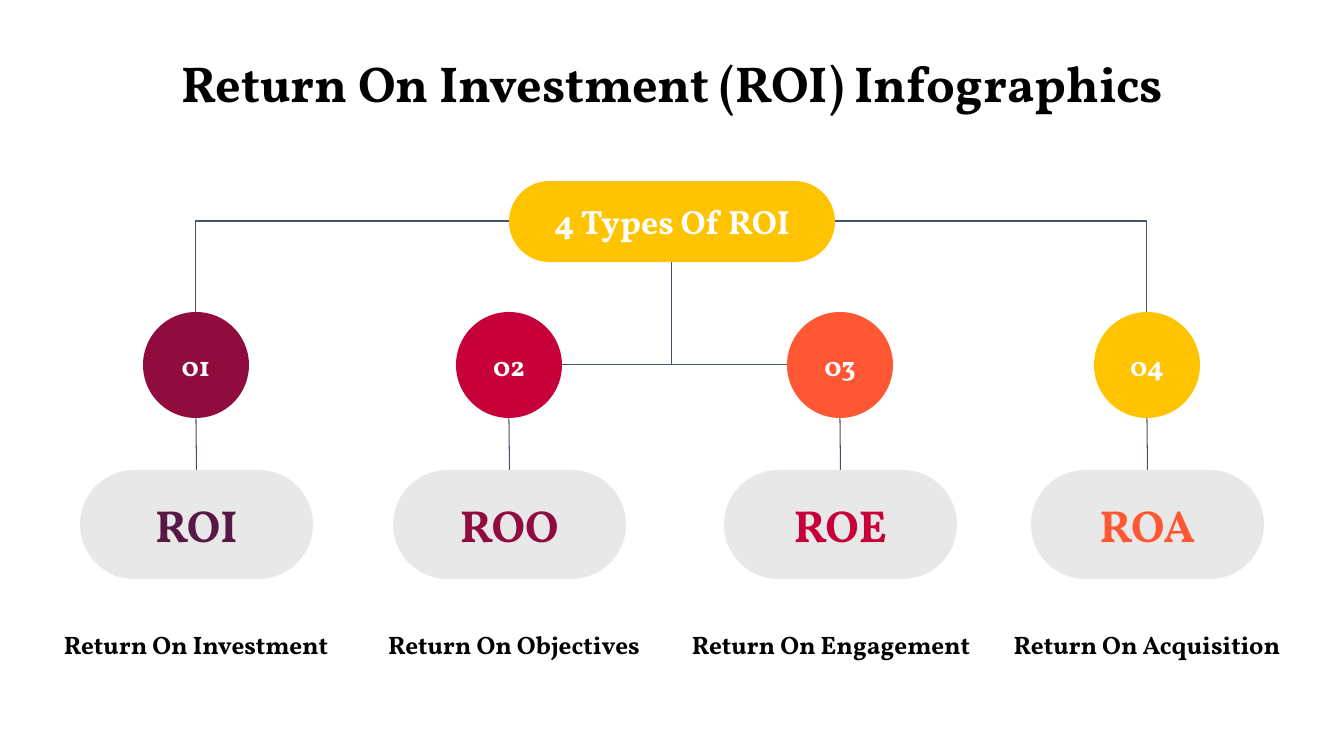
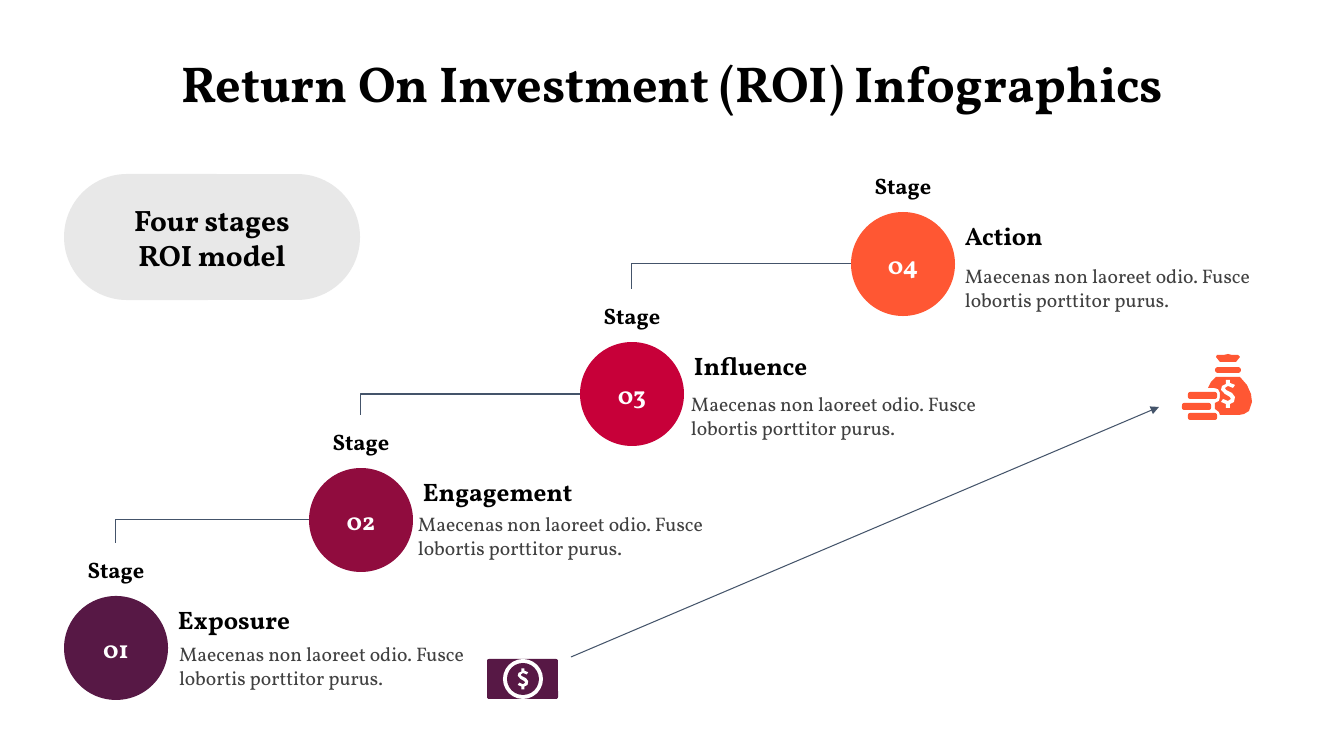
from dataclasses import dataclass

from lxml import etree
from pptx import Presentation
from pptx import util as u
from pptx.dml.color import RGBColor
from pptx.enum import shapes, text
from pptx.oxml.ns import qn

EMU_PER_PX = 914400 / 100.8
WIDTH, HEIGHT = 1344, 756


def px(length):
    return u.Emu(round(length * EMU_PER_PX))


@dataclass(frozen=True)
class Theme:
    font: str = "Vollkorn"
    black: str = "000000"
    white: str = "FFFFFF"
    body: str = "404040"
    line: str = "44546A"
    pill: str = "D9D9D9"
    plum: str = "571845"
    wine: str = "900C3E"
    crimson: str = "C70039"
    orange: str = "FF5733"
    yellow: str = "FFC300"
    pill_opacity: int = 60
    line_width: float = 0.75
    title_size: int = 36
    code_size: int = 32
    root_size: int = 24
    model_size: int = 21
    number_size: int = 20
    heading_size: int = 18
    stage_size: int = 16
    body_size: int = 14


THEME = Theme()
TITLE = "Return On Investment (ROI) Infographics"
CENTER, LEFT = text.PP_ALIGN.CENTER, text.PP_ALIGN.LEFT
MIDDLE, TOP = text.MSO_ANCHOR.MIDDLE, text.MSO_ANCHOR.TOP
DOLLAR = [(-2, -14), (2, -14), (2, -11), (7, -9), (5, -6), (0, -8), (-3, -6), (-2, -4),
          (4, -1), (7, 3), (6, 8), (2, 10), (2, 14), (-2, 14), (-2, 10), (-7, 8),
          (-5, 5), (0, 7), (3, 5), (2, 3), (-3, 0), (-7, -4), (-6, -8), (-2, -10)]
BAG = [(1216, 377), (1240, 377), (1247, 385), (1251, 394), (1252, 402), (1249, 411),
       (1244, 414), (1239, 415), (1220, 415), (1219, 412), (1215, 409), (1215, 403),
       (1219, 401), (1220, 397), (1220, 393), (1218, 389), (1214, 388), (1208, 388),
       (1211, 382)]
BAG_TOP = [(1217, 355), (1224, 355), (1228, 354), (1232, 355), (1238, 355),
           (1240, 357), (1236, 362), (1220, 362), (1216, 357)]


class Slides:
    def __init__(self, theme):
        self.theme = theme
        self.deck = Presentation()
        self.deck.slide_width, self.deck.slide_height = px(WIDTH), px(HEIGHT)
        self.page = None

    def new_page(self, title):
        self.page = self.deck.slides.add_slide(self.deck.slide_layouts[5])
        box = self.page.shapes.title
        box.left, box.top, box.width, box.height = px(0), px(47), px(WIDTH), px(72)
        self.put_text(box, title, self.theme.title_size, anchor=TOP)

    def put_text(self, box, words, size, color=None, bold=True, align=CENTER,
                 anchor=MIDDLE, inset=10):
        frame = box.text_frame
        frame.word_wrap = True
        frame.auto_size = text.MSO_AUTO_SIZE.NONE
        frame.vertical_anchor = anchor
        frame.margin_left = frame.margin_right = px(inset)
        frame.margin_top = frame.margin_bottom = px(5)
        para = frame.paragraphs[0]
        para.alignment = align
        span = para.add_run()
        span.text = words
        span.font.name = self.theme.font
        span.font.size = u.Pt(size)
        span.font.bold = bold
        span.font.color.rgb = RGBColor.from_string(color or self.theme.black)

    def label(self, left, top, width, height, words, size, **style):
        box = self.page.shapes.add_textbox(px(left), px(top), px(width), px(height))
        self.put_text(box, words, size, **style)

    def paint(self, shape, color):
        shape.shadow.inherit = False
        shape.fill.solid()
        shape.fill.fore_color.rgb = RGBColor.from_string(color)
        shape.line.fill.background()
        return shape

    def circle(self, left, top, size, color):
        kind = shapes.MSO_SHAPE.OVAL
        return self.paint(
            self.page.shapes.add_shape(kind, px(left), px(top), px(size), px(size)), color)

    def bar(self, left, top, width, height, color, rounding=0.5):
        kind = shapes.MSO_SHAPE.ROUNDED_RECTANGLE
        shape = self.page.shapes.add_shape(kind, px(left), px(top), px(width), px(height))
        shape.adjustments[0] = rounding
        return self.paint(shape, color)

    def gray_pill(self, left, top, width, height):
        shape = self.bar(left, top, width, height, self.theme.pill)
        color = shape._element.spPr.find(qn("a:solidFill")).find(qn("a:srgbClr"))
        etree.SubElement(color, qn("a:alpha"), val=str(self.theme.pill_opacity * 1000))
        return shape

    def outline(self, points, color, origin=(0, 0), size=1):
        builder = self.page.shapes.build_freeform(*points[0], scale=EMU_PER_PX * size)
        builder.add_line_segments(points[1:], close=True)
        return self.paint(builder.convert_to_shape(px(origin[0]), px(origin[1])), color)

    def line(self, start, end, kind=shapes.MSO_CONNECTOR.STRAIGHT):
        link = self.page.shapes.add_connector(
            kind, px(start[0]), px(start[1]), px(end[0]), px(end[1]))
        link.line.color.rgb = RGBColor.from_string(self.theme.line)
        link.line.width = u.Pt(self.theme.line_width)
        etree.SubElement(link._element.spPr, qn("a:effectLst"))
        return link

    def corner(self, start, end):
        """Run sideways from start, then turn once towards end."""
        link = self.line(start, end, shapes.MSO_CONNECTOR.ELBOW)
        link._element.spPr.find(qn("a:prstGeom")).set("prst", "bentConnector2")

    def arrow(self, start, end):
        link = self.line(start, end)
        stroke = link._element.spPr.find(qn("a:ln"))
        etree.SubElement(stroke, qn("a:tailEnd"), type="triangle")


def types_page(slides):
    theme = slides.theme
    slides.new_page(TITLE)
    middle, root_left, root_top, root_width, root_height = WIDTH // 2, 509, 181, 326, 81
    circle_size, circle_top, pill_top = 106, 312, 470
    radius = circle_size // 2
    circle_middle, circle_bottom = circle_top + radius, circle_top + circle_size
    columns = [
        (196, 196, "ROI", "Return On Investment", theme.wine, theme.plum),
        (509, 514, "ROO", "Return On Objectives", theme.crimson, theme.wine),
        (840, 831, "ROE", "Return On Engagement", theme.orange, theme.crimson),
        (1147, 1147, "ROA", "Return On Acquisition", theme.yellow, theme.orange),
    ]
    for number, column in enumerate(columns, 1):
        center, label_center, code, name, circle_color, code_color = column
        pill = slides.gray_pill(center - 116, pill_top, 233, 109)
        slides.put_text(pill, code, theme.code_size, code_color)
        slides.label(label_center - 163, 619, 326, 50, name, theme.heading_size)
        circle = slides.circle(center - radius, circle_top, circle_size, circle_color)
        slides.put_text(circle, f"{number:02}", theme.number_size, theme.white)
        stem = slides.line((center, circle_bottom), (center, pill_top))
        stem.end_connect(pill, 0)

    root = slides.bar(root_left, root_top, root_width, root_height, theme.yellow)
    slides.put_text(root, "4 Types Of ROI", theme.root_size, theme.white)
    first, second, third, fourth = (column[0] for column in columns)
    root_middle, root_bottom = root_top + root_height // 2, root_top + root_height
    slides.corner((root_left, root_middle), (first, circle_top))
    slides.corner((second + radius, circle_middle), (middle, root_bottom))
    slides.corner((third - radius, circle_middle), (middle, root_bottom))
    slides.corner((root_left + root_width, root_middle), (fourth, circle_top))


def money_bag(slides):
    color = slides.theme.orange
    slides.bar(1215, 367, 26, 6, color)
    for left, top in ((1188, 392), (1182, 403), (1188, 413)):
        slides.bar(left, top, 29, 7, color, 0.3)
    slides.outline(BAG_TOP, color)
    slides.outline(BAG, color)
    slides.outline(DOLLAR, slides.theme.white, (1228, 394))


def banknote(slides):
    theme = slides.theme
    slides.bar(487, 659, 71, 40, theme.plum, 0.05)
    for size, color in ((40, theme.white), (32, theme.plum)):
        slides.circle(523 - size // 2, 679 - size // 2, size, color)
    slides.outline(DOLLAR, theme.white, (523, 679), 0.75)


def stages_page(slides):
    theme = slides.theme
    slides.new_page(TITLE)
    model = slides.gray_pill(64, 174, 296, 126)
    slides.put_text(model, "Four stages ROI model", theme.model_size, inset=36)
    size, stage_height = 104, 53
    stages = [
        (64, 596, "Exposure", theme.plum, (169, 637)),
        (309, 468, "Engagement", theme.wine, (408, 507)),
        (580, 342, "Influence", theme.crimson, (681, 387)),
        (851, 212, "Action", theme.orange, (955, 259)),
    ]
    for number, (left, top, name, color, detail) in enumerate(stages, 1):
        circle = slides.circle(left, top, size, color)
        slides.put_text(circle, f"{number:02}", theme.heading_size, theme.white)
        slides.label(left, top - stage_height, size, stage_height, "Stage", theme.stage_size)
        slides.label(left + size, top + 3, 297, 40, name, theme.heading_size, align=LEFT)
        slides.label(*detail, 326, 57,
                     "Maecenas non laoreet odio. Fusce lobortis porttitor purus.",
                     theme.body_size, color=theme.body, bold=False, align=LEFT, anchor=TOP)
    for lower, upper in zip(stages, stages[1:]):
        slides.corner((upper[0], upper[1] + size // 2),
                      (lower[0] + size // 2, lower[1] - stage_height))
    slides.arrow((571, 657), (1159, 407))
    money_bag(slides)
    banknote(slides)


def main():
    slides = Slides(THEME)
    types_page(slides)
    stages_page(slides)
    slides.deck.save("out.pptx")


if __name__ == "__main__":
    main()
